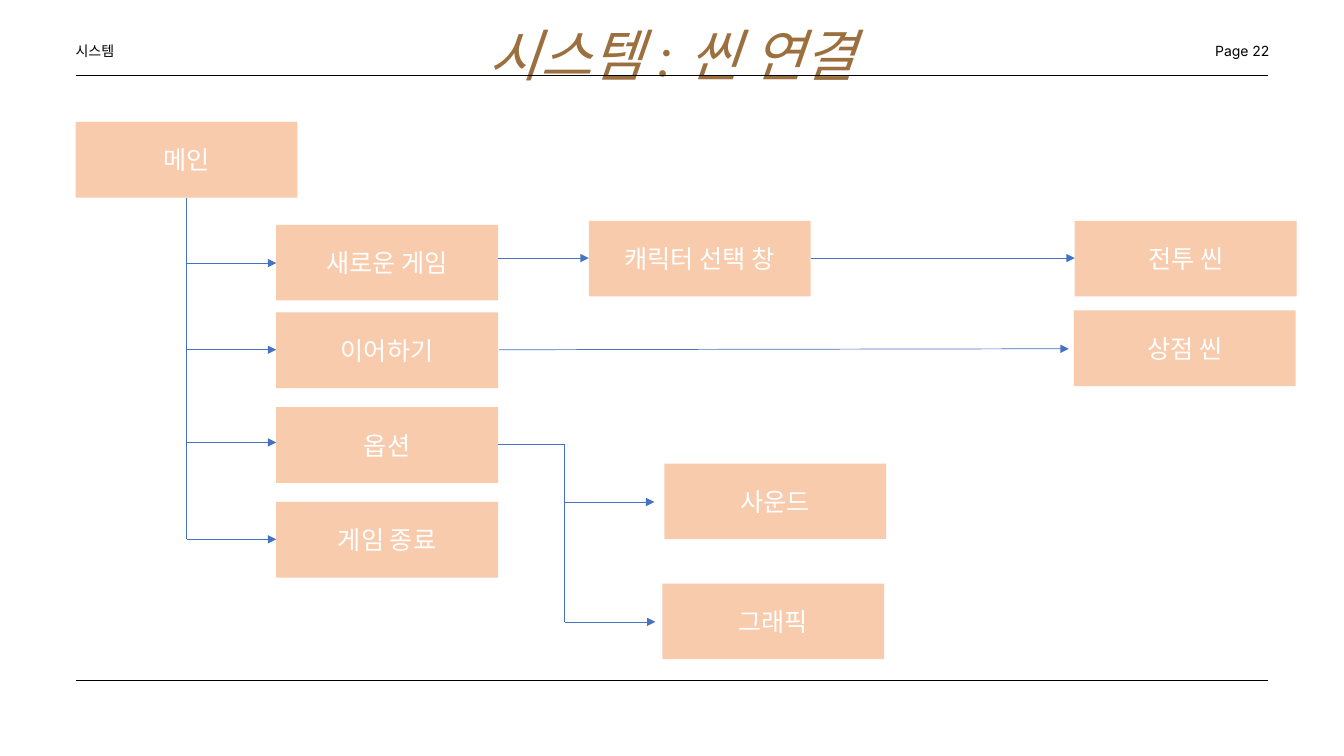
"""Build the scene connection flow slide."""
from lxml import etree
from pptx import Presentation
from pptx.dml.color import RGBColor
from pptx.enum.shapes import MSO_CONNECTOR, MSO_SHAPE
from pptx.enum.text import MSO_ANCHOR, MSO_AUTO_SIZE, PP_ALIGN
from pptx.oxml.ns import qn
from pptx.util import Inches, Pt

RECTANGLE = MSO_SHAPE.RECTANGLE
STRAIGHT = MSO_CONNECTOR.STRAIGHT
MIDDLE = MSO_ANCHOR.MIDDLE
GROW = MSO_AUTO_SIZE.SHAPE_TO_FIT_TEXT
CENTER, RIGHT, JUSTIFY = PP_ALIGN.CENTER, PP_ALIGN.RIGHT, PP_ALIGN.JUSTIFY

KOREAN_FONT = "Noto Sans CJK KR"
BOX_WIDTH, BOX_HEIGHT = 2.2, 0.75
MARGIN_LEFT, MARGIN_RIGHT = 0.75, 12.58
MENU_LEFT, MENU_RIGHT = 2.74, 4.94
MAIN_TRUNK, OPTION_TRUNK = 1.85, 5.6
SCENE_ROW, OPTION_ROW = 2.56, 4.41
BLUE, BLACK = "4472C4", "000000"

BOXES = [
    ("메인", MARGIN_LEFT, 1.21),
    ("새로운 게임", MENU_LEFT, 2.23),
    ("이어하기", MENU_LEFT, 3.1),
    ("옵션", MENU_LEFT, 4.04),
    ("게임 종료", MENU_LEFT, 4.98),
    ("캐릭터 선택 창", 5.84, 2.19),
    ("전투 씬", 10.66, 2.19),
    ("상점 씬", 10.65, 3.08),
    ("사운드", 6.59, 4.6),
    ("그래픽", 6.57, 5.79),
]
TRUNKS = [
    (MAIN_TRUNK, 1.96, MAIN_TRUNK, 5.35),
    (OPTION_TRUNK, OPTION_ROW, OPTION_TRUNK, 6.17),
    (MENU_RIGHT, OPTION_ROW, OPTION_TRUNK, OPTION_ROW),
]
ARROWS = [(MAIN_TRUNK, row, MENU_LEFT, row) for row in (2.61, 3.47, 4.39, 5.35)] + [
    (MENU_RIGHT, SCENE_ROW, 5.84, SCENE_ROW),
    (8.04, SCENE_ROW, 10.66, SCENE_ROW),
    (4.95, 3.47, 10.6, 3.46),
    (OPTION_TRUNK, 4.98, 6.49, 4.98),
    (OPTION_TRUNK, 6.17, 6.5, 6.17),
]


def color(value):
    """Return the colour for a hex string."""
    return RGBColor.from_string(value)


def add_run(paragraph, text, size, font_name, font_color, italic=False):
    """Add a run with a Latin font and the shared Korean font."""
    run = paragraph.add_run()
    run.text = text
    font = run.font
    font.size = Pt(size)
    font.name = font_name
    font.italic = italic
    font.color.rgb = color(font_color)
    latin = run._r.get_or_add_rPr().find(qn("a:latin"))
    latin.addnext(etree.Element(qn("a:ea"), typeface=KOREAN_FONT))


def add_box(slide, text, left, top):
    """Add a filled box with a centred label."""
    shape = slide.shapes.add_shape(
        RECTANGLE, Inches(left), Inches(top), Inches(BOX_WIDTH), Inches(BOX_HEIGHT))
    shape.shadow.inherit = False
    shape.fill.solid()
    shape.fill.fore_color.rgb = color("F8CBAD")
    shape.line.fill.background()
    shape.text_frame.vertical_anchor = MIDDLE
    paragraph = shape.text_frame.paragraphs[0]
    paragraph.alignment = CENTER
    add_run(paragraph, text, 18, KOREAN_FONT, "FFFFFF")


def add_line(slide, ends, line_color=BLUE, width=0.5, arrow=False):
    """Add a straight line, with an arrowhead at its end if asked."""
    connector = slide.shapes.add_connector(STRAIGHT, *(Inches(end) for end in ends))
    connector.line.color.rgb = color(line_color)
    connector.line.width = Pt(width)
    properties = connector._element.spPr
    if arrow:
        etree.SubElement(properties.find(qn("a:ln")), qn("a:tailEnd"), type="triangle")
    etree.SubElement(properties, qn("a:effectLst"))


def add_text(slide, text, place, alignment, spacing, size, font_name, font_color,
             italic=False, wrap=True):
    """Add a text box without insets and with fixed line spacing."""
    text_box = slide.shapes.add_textbox(*(Inches(length) for length in place))
    frame = text_box.text_frame
    frame.word_wrap = wrap
    frame.auto_size = GROW
    frame.margin_left = frame.margin_right = frame.margin_top = frame.margin_bottom = 0
    paragraph = frame.paragraphs[0]
    paragraph.alignment = alignment
    paragraph.line_spacing = Pt(spacing)
    add_run(paragraph, text, size, font_name, font_color, italic)


def main():
    """Build and save the slide."""
    presentation = Presentation()
    presentation.slide_width = Inches(13.33)
    presentation.slide_height = Inches(7.5)
    slide = presentation.slides.add_slide(presentation.slide_layouts[6])
    for text, left, top in BOXES:
        add_box(slide, text, left, top)
    for ends in TRUNKS:
        add_line(slide, ends)
    for ends in ARROWS:
        add_line(slide, ends, arrow=True)
    add_text(slide, "시스템 : 씬 연결", (4.65, -0.16, 4.03, 0.94), CENTER, 74.5,
             40, "Times New Roman", "9B6F3E", italic=True, wrap=False)
    for text, left, alignment in (("시스템", MARGIN_LEFT, JUSTIFY), ("Page 22", 10.04, RIGHT)):
        add_text(slide, text, (left, 0.39, 2.55, 0.18), alignment, 14, 10, "Inter", BLACK)
    for row in (0.75, 6.75):
        add_line(slide, (MARGIN_LEFT, row, MARGIN_RIGHT, row), BLACK, 0.75)
    presentation.save("out.pptx")


if __name__ == "__main__":
    main()
